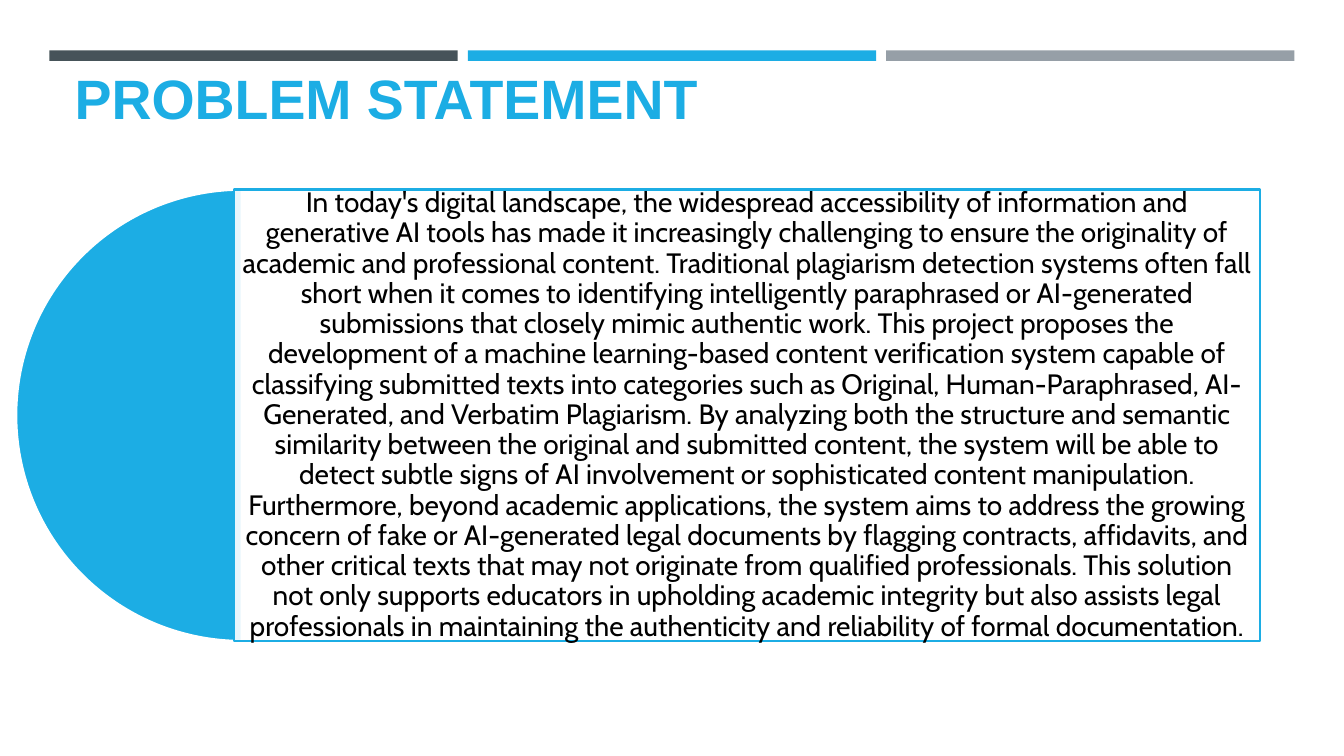
import pptx
import pptx.util
import pptx.dml.color
import pptx.enum.shapes
import pptx.enum.text
import pptx.oxml.ns
import lxml.etree

Pt = pptx.util.Pt
Inches = pptx.util.Inches
Shape = pptx.enum.shapes.MSO_SHAPE
Align = pptx.enum.text.PP_ALIGN
Anchor = pptx.enum.text.MSO_ANCHOR

HUES = {
    "blue": "1CADE4",
    "slate": "465359",
    "gray": "969FA7",
    "white": "FFFFFF",
    "black": "000000",
}

BODY = [
    "In today's digital landscape, the widespread accessibility of information and "
    "generative AI tools has made it increasingly challenging to ensure the originality of "
    "academic and professional content.",
    "Traditional plagiarism detection systems often fall short when it comes to identifying "
    "intelligently paraphrased or AI-generated submissions that closely mimic authentic work.",
    "This project proposes the development of a machine learning-based content verification "
    "system capable of classifying submitted texts into categories such as Original, "
    "Human-Paraphrased, AI-Generated, and Verbatim Plagiarism.",
    "By analyzing both the structure and semantic similarity between the original and "
    "submitted content, the system will be able to detect subtle signs of AI involvement or "
    "sophisticated content manipulation.",
    "Furthermore, beyond academic applications, the system aims to address the growing "
    "concern of fake or AI-generated legal documents by flagging contracts, affidavits, and "
    "other critical texts that may not originate from qualified professionals.",
    "This solution not only supports educators in upholding academic integrity but also "
    "assists legal professionals in maintaining the authenticity and reliability of formal "
    "documentation.",
]


def tint(name):
    return pptx.dml.color.RGBColor.from_string(HUES[name])


def write(frame, text, font="Cabin", size=20, hue="black", bold=False,
          align=Align.LEFT, anchor=Anchor.MIDDLE, space=1.0, inset=None):
    frame.word_wrap = True
    frame.auto_size = pptx.enum.text.MSO_AUTO_SIZE.NONE
    frame.vertical_anchor = anchor
    if inset is not None:
        frame.margin_left = frame.margin_right = Inches(inset)
        frame.margin_top = frame.margin_bottom = Inches(inset)
    para = frame.paragraphs[0]
    para.alignment = align
    para.line_spacing = space
    run = para.add_run()
    run.text = text
    run.font.name = font
    run.font.size = Pt(size)
    run.font.bold = bold
    run.font.color.rgb = tint(hue)


class Deck:
    def __init__(self):
        self.show = pptx.Presentation()
        self.show.slide_width = Inches(13.33)
        self.show.slide_height = Inches(7.5)
        self.slide = self.show.slides.add_slide(self.show.slide_layouts[5])

    def place(self, left, top, width, height):
        wide, high = self.show.slide_width, self.show.slide_height
        spans = ((left, wide), (top, high), (width, wide), (height, high))
        return [round(share * full / 100) for share, full in spans]

    def title(self, box, text, **style):
        item = self.slide.shapes.title
        item.left, item.top, item.width, item.height = self.place(*box)
        write(item.text_frame, text, **style)

    def shape(self, kind, box, fill, line=None, alpha=None, turns=()):
        item = self.slide.shapes.add_shape(kind, *self.place(*box))
        item.shadow.inherit = False
        item.fill.solid()
        item.fill.fore_color.rgb = tint(fill)
        if line:
            item.line.color.rgb = tint(line)
            item.line.width = Pt(1.75)
        else:
            item.line.fill.background()
        for spot, turn in enumerate(turns):
            item.adjustments[spot] = turn
        if alpha:
            qn = pptx.oxml.ns.qn
            fill_node = item.element.spPr.find(qn("a:solidFill"))
            lxml.etree.SubElement(fill_node[0], qn("a:alpha")).set("val", str(alpha * 1000))

    def text(self, box, text, **style):
        item = self.slide.shapes.add_textbox(*self.place(*box))
        write(item.text_frame, text, **style)


def main():
    deck = Deck()
    for col, hue in enumerate(("slate", "blue", "gray")):
        deck.shape(Shape.RECTANGLE, (3.68 + col * 31.13, 6.67, 30.38, 1.4), hue)
    deck.title((4.8, 10.27, 90.47, 7.73), "PROBLEM STATEMENT", font="Arial",
               size=39.6, hue="blue", bold=True, anchor=Anchor.BOTTOM)

    top, high = 25.07, 59.73
    panel = (17.4, top, 76.37, high)
    deck.shape(Shape.PIE, (1.2, top, 33.61, high), "blue", line="white", turns=(54, 162))
    deck.shape(Shape.RECTANGLE, panel, "white", line="blue", alpha=90)
    deck.text(panel, " ".join(BODY), align=Align.CENTER, space=0.9, inset=0.08)
    deck.show.save("out.pptx")


if __name__ == "__main__":
    main()
